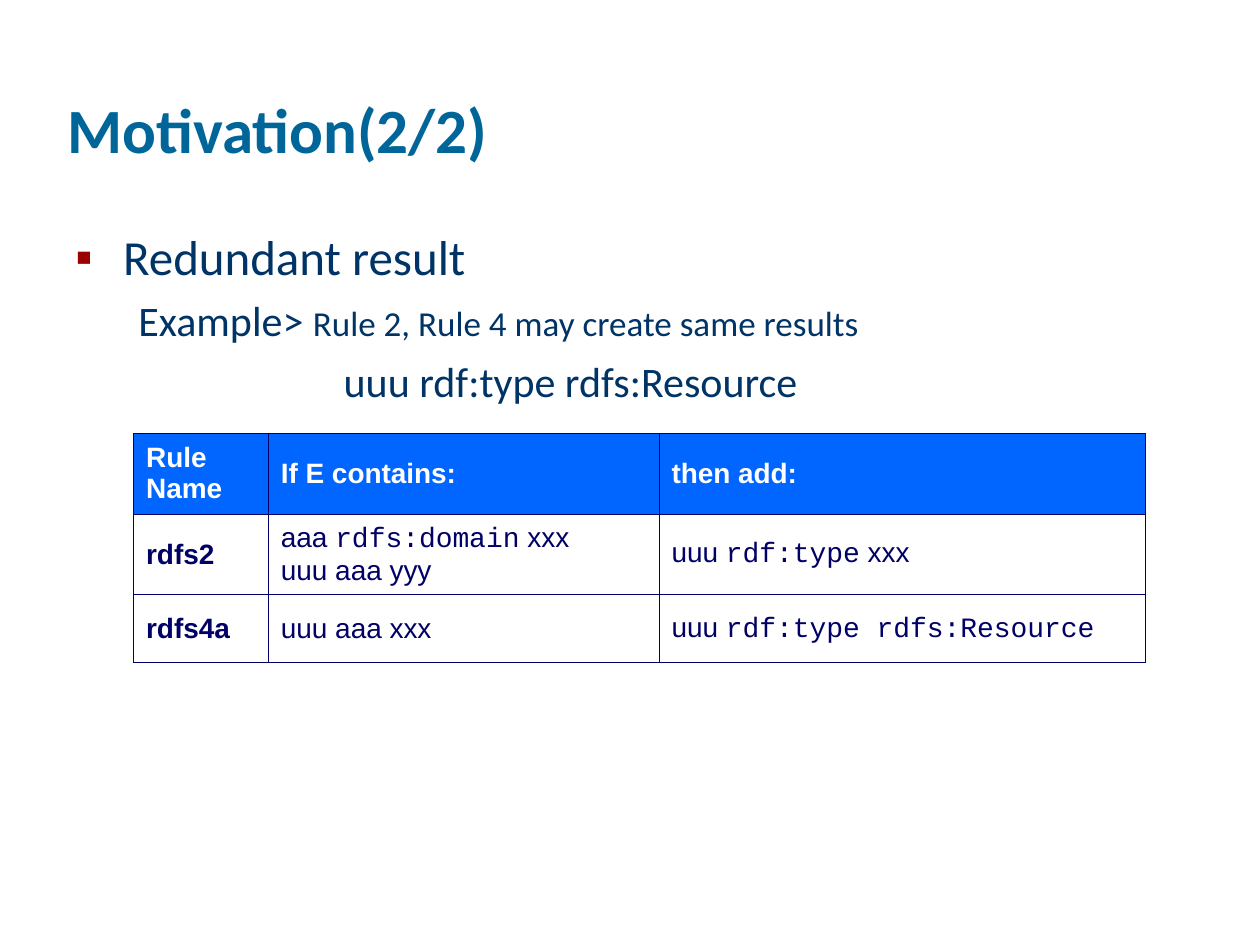
from lxml import etree
from pptx import Presentation
from pptx.dml.color import RGBColor
from pptx.enum.text import MSO_ANCHOR
from pptx.oxml.ns import qn
from pptx.util import Inches, Pt

BOTTOM = MSO_ANCHOR.BOTTOM
MIDDLE = MSO_ANCHOR.MIDDLE

COLORS = {
    "title": "006699",
    "body": "003366",
    "bullet": "990000",
    "header": "0066FF",
    "white": "FFFFFF",
    "navy": "000066",
}


def add_text(para, text, *, size, color, font="Calibri", bold=False):
    span = para.add_run()
    span.text = text
    span.font.name = font
    span.font.size = Pt(size)
    span.font.bold = bold
    span.font.color.rgb = RGBColor.from_string(COLORS[color])


def add_border(properties, side):
    line = etree.SubElement(properties, qn(f"a:{side}"), w=str(Pt(0.45)))
    fill = etree.SubElement(line, qn("a:solidFill"))
    etree.SubElement(fill, qn("a:srgbClr"), val=COLORS["navy"])


deck = Presentation()
deck.slide_width = Inches(10)
deck.slide_height = Inches(7.5)
page = deck.slides.add_slide(deck.slide_layouts[6])

# Title
title = page.shapes.add_textbox(Inches(0.44), Inches(0.12), Inches(8.5), Inches(1.25)).text_frame
title.word_wrap = True
title.vertical_anchor = BOTTOM
add_text(title.paragraphs[0], "Motivation(2/2)", size=36, color="title", bold=True)

# Body: left margin, first-line indent, space before, (text, size) spans
body = page.shapes.add_textbox(Inches(0.5), Inches(1.75), Inches(8.94), Inches(4.88)).text_frame
body.word_wrap = True
body_lines = [
    (0.38, -0.38, 0, [("Redundant result", 28)]),
    (0.81, -0.31, 5, [("Example> ", 24), ("Rule 2, Rule 4 may create same results", 20)]),
    (2.13, 0, 6, [("uuu rdf:type rdfs:Resource", 24)]),
]
for index, (margin, indent, space, spans) in enumerate(body_lines):
    para = body.paragraphs[0] if index == 0 else body.add_paragraph()
    para.space_before = Pt(space)
    properties = para._p.get_or_add_pPr()
    properties.set("marL", str(Inches(margin)))
    properties.set("indent", str(Inches(indent)))
    if index == 0:
        bullet_color = etree.SubElement(properties, qn("a:buClr"))
        etree.SubElement(bullet_color, qn("a:srgbClr"), val=COLORS["bullet"])
        etree.SubElement(properties, qn("a:buFont"), typeface="Arial")
        etree.SubElement(properties, qn("a:buChar"), char="▪")
    else:
        etree.SubElement(properties, qn("a:buNone"))
    for text, size in spans:
        add_text(para, text, size=size, color="body")

# Rule table: each cell is a list of lines, each line alternates Arial and Courier New
rules = [
    [[["Rule Name"]], [["If E contains:"]], [["then add:"]]],
    [
        [["rdfs2"]],
        [["aaa ", "rdfs:domain", " xxx"], ["uuu aaa yyy"]],
        [["uuu ", "rdf:type", " xxx"]],
    ],
    [[["rdfs4a"]], [["uuu aaa xxx"]], [["uuu ", "rdf:type rdfs:Resource"]]],
]
column_widths = [1.07, 3.1, 3.86]
row_heights = [0.64, 0.64, 0.54]
table = page.shapes.add_table(
    len(rules), len(column_widths), Inches(1.06), Inches(3.44),
    Inches(sum(column_widths)), Inches(sum(row_heights)),
).table
for column, width in zip(table.columns, column_widths):
    column.width = Inches(width)
for row, height in zip(table.rows, row_heights):
    row.height = Inches(height)

for row_index, rule in enumerate(rules):
    is_header = row_index == 0
    for column_index, lines in enumerate(rule):
        cell = table.cell(row_index, column_index)
        cell.vertical_anchor = MIDDLE
        properties = cell._tc.get_or_add_tcPr()
        for side in ("lnL", "lnR", "lnT", "lnB"):
            add_border(properties, side)
        cell.fill.solid()
        cell.fill.fore_color.rgb = RGBColor.from_string(COLORS["header" if is_header else "white"])
        for line_index, line in enumerate(lines):
            frame = cell.text_frame
            para = frame.paragraphs[0] if line_index == 0 else frame.add_paragraph()
            for span_index, text in enumerate(line):
                add_text(
                    para, text, size=16,
                    color="white" if is_header else "navy",
                    font="Courier New" if span_index % 2 else "Arial",
                    bold=is_header or column_index == 0,
                )

deck.save("out.pptx")
